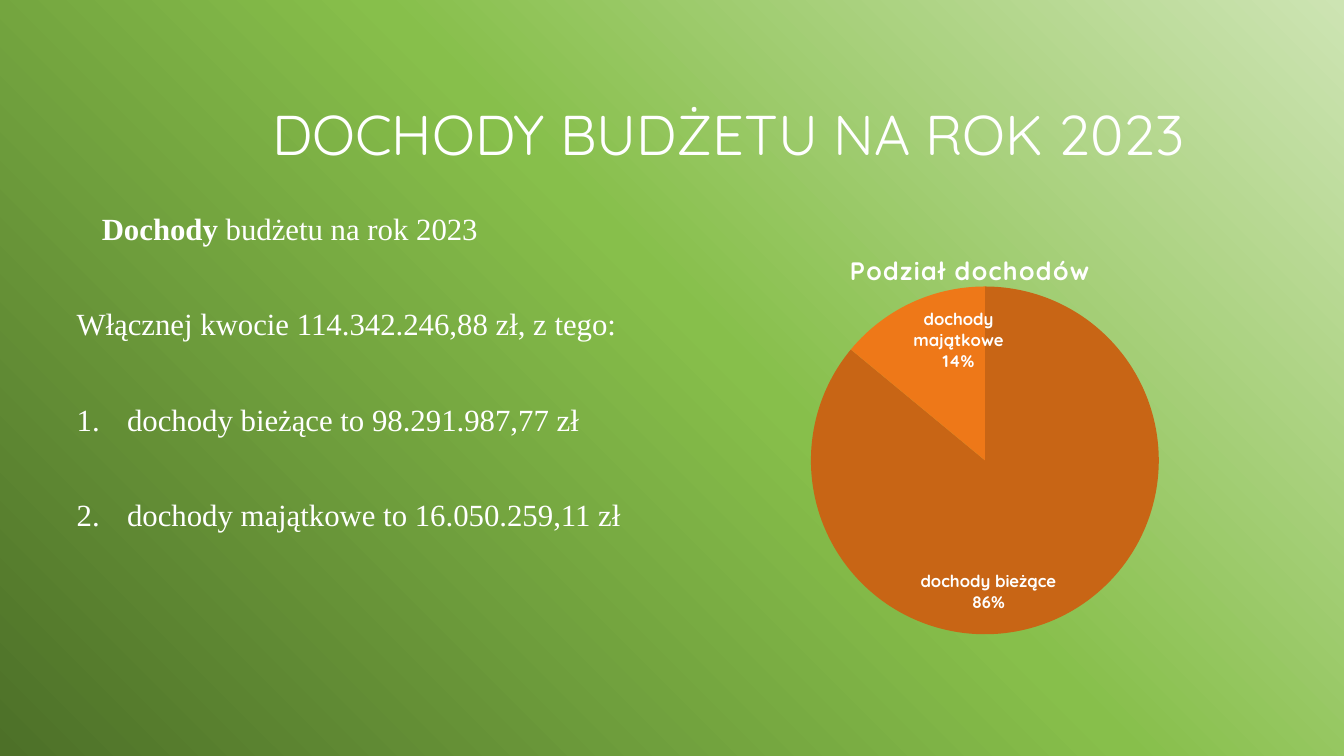
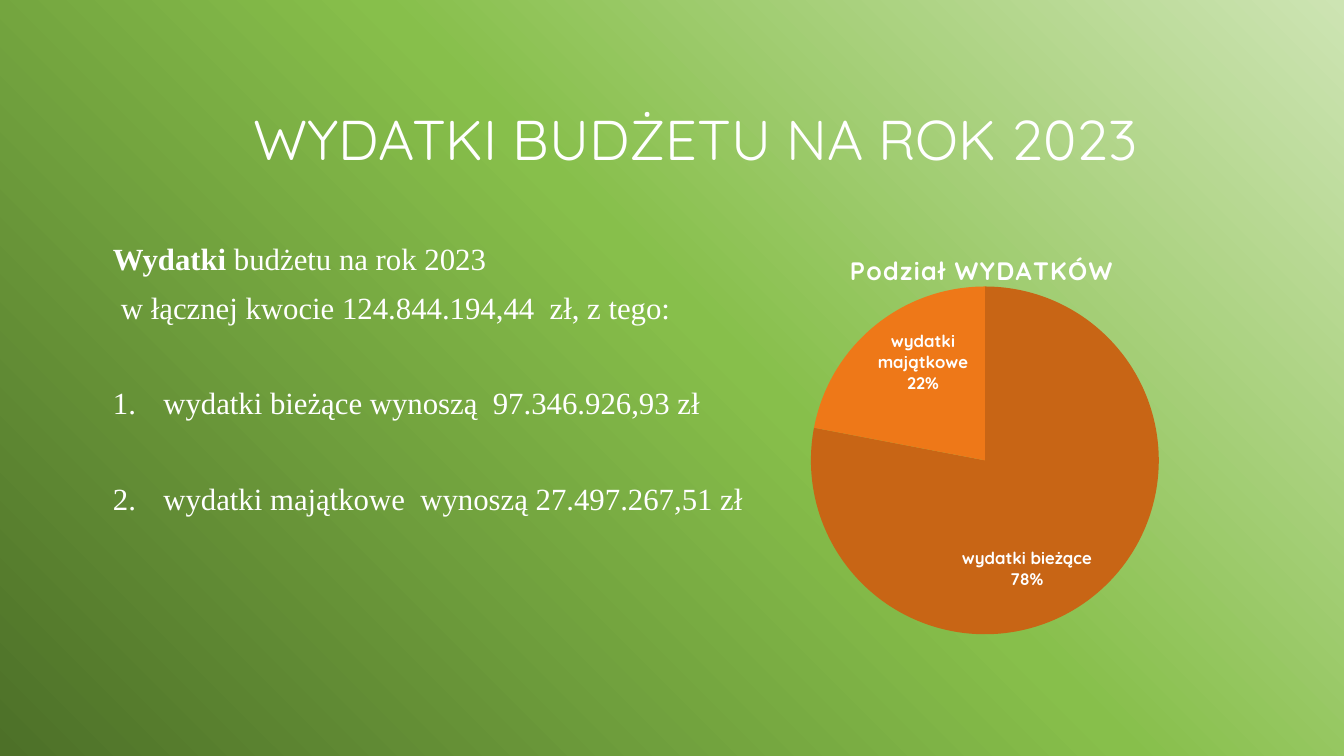
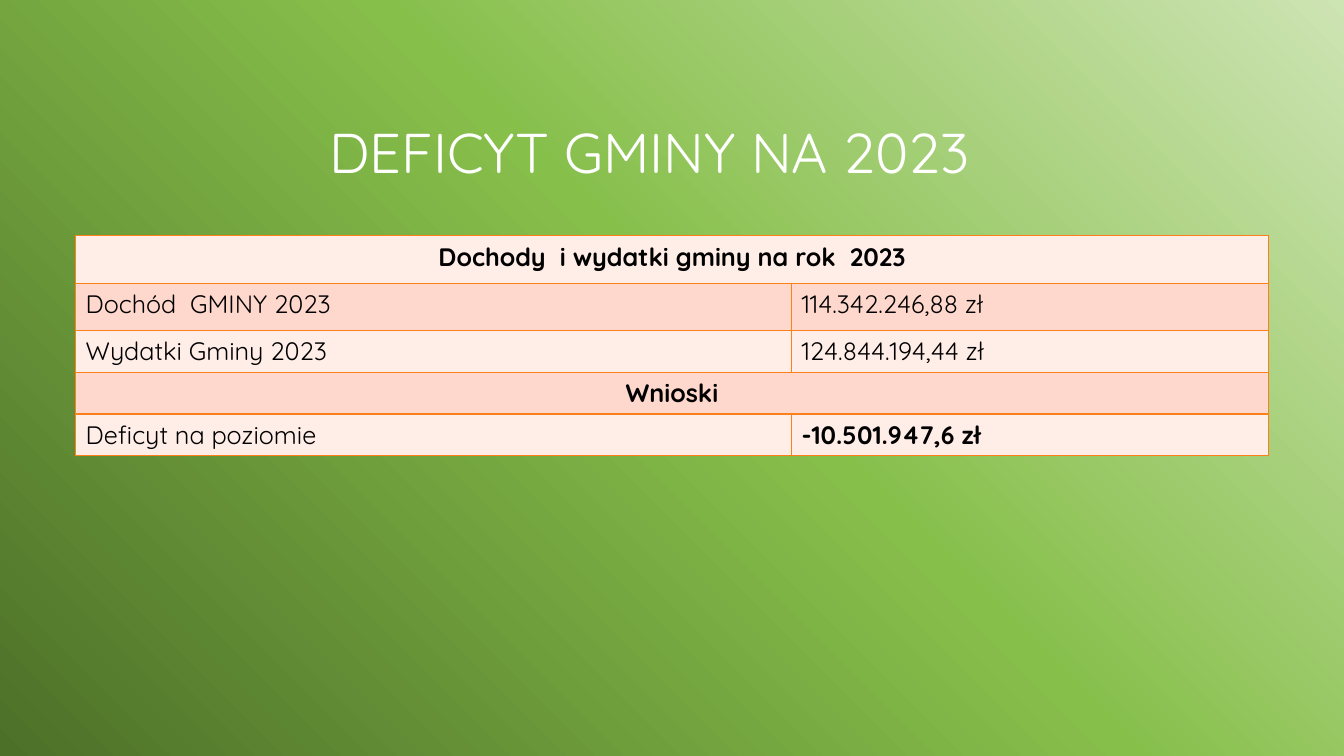
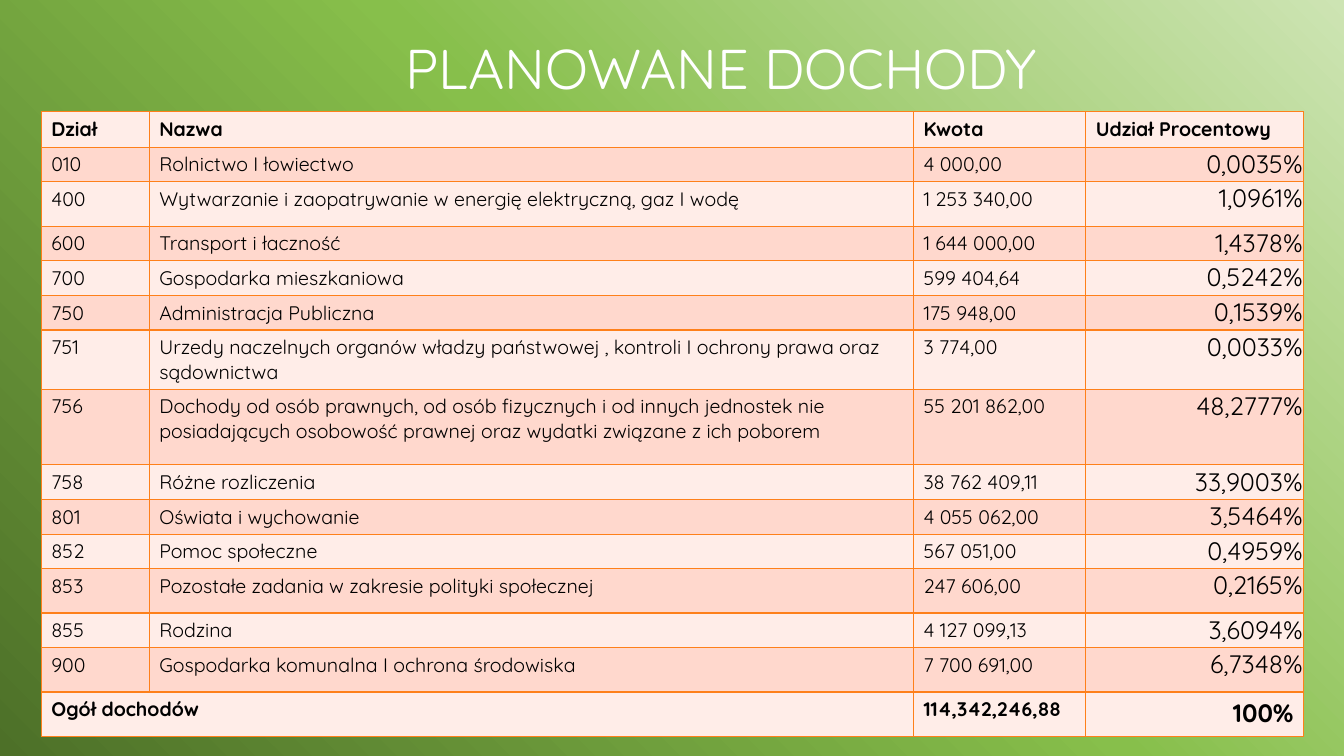
from dataclasses import dataclass

from lxml import etree
from pptx import Presentation
from pptx.chart.data import CategoryChartData
from pptx.dml.color import RGBColor
from pptx.enum.chart import XL_CHART_TYPE, XL_LABEL_POSITION
from pptx.enum.text import MSO_ANCHOR, MSO_AUTO_SIZE, PP_ALIGN
from pptx.oxml import parse_xml
from pptx.oxml.ns import nsdecls, qn
from pptx.util import Inches, Pt

LEFT, CENTER, RIGHT = PP_ALIGN.LEFT, PP_ALIGN.CENTER, PP_ALIGN.RIGHT
PIE = XL_CHART_TYPE.PIE
INSIDE_END = XL_LABEL_POSITION.INSIDE_END
TOP, MIDDLE = MSO_ANCHOR.TOP, MSO_ANCHOR.MIDDLE
NO_AUTO_SIZE = MSO_AUTO_SIZE.NONE

TITLE_AND_BODY, TITLE_ONLY = 1, 5
SANS, SERIF = "Quicksand", "Times New Roman"
WHITE, BLACK, BORDER = "FFFFFF", "000000", "FE801A"
ROW_FILLS = ("FFEDE8", "FFD8CD")
PIE_FILLS = ("C86515", "EE7818")
BACKGROUND_STOPS = ((0, "CDE4B3"), (46, "87BF4B"), (100, "4D7028"))
LINE_SPACING, NEXT_LINE, NEXT_BLOCK = 0.9, 11, 44.5

Box = tuple[float, float, float, float]
CHART_BOX: Box = (7.46, 2.37, 4.86, 4.31)


@dataclass
class Line:
    text: str
    lead: str = ""
    numbered: bool = False
    space_before: float = NEXT_BLOCK
    indent: float = 0


@dataclass
class PieSlide:
    title: str
    title_box: Box
    body_box: Box
    lines: list[Line]
    chart_title: str
    categories: tuple[str, str]
    shares: tuple[int, int]


@dataclass
class Cell:
    text: str
    bold: bool = False
    alignment: PP_ALIGN = LEFT
    size: int = 18
    tight: bool = False
    span: int = 1


@dataclass
class TableSlide:
    title: str
    title_box: Box
    title_alignment: PP_ALIGN
    table_box: Box
    columns: list[float]
    row_heights: list[float]
    rows: list[list[Cell]]


def rgb(color: str) -> RGBColor:
    return RGBColor.from_string(color)


def style_font(font, name: str, size: float, color: str, bold: bool = False) -> None:
    font.name, font.size, font.bold = name, Pt(size), bold
    font.color.rgb = rgb(color)


def add_run(paragraph, text: str, name: str, size: float, color: str, bold: bool = False):
    run = paragraph.add_run()
    run.text = text
    style_font(run.font, name, size, color, bold)
    return run


def place(shape, box: Box) -> None:
    shape.left, shape.top, shape.width, shape.height = map(Inches, box)


def paint_background(master) -> None:
    master.background.fill.gradient()
    gradient = master.element.find(".//" + qn("a:gradFill"))
    stops = "".join(
        f'<a:gs pos="{position * 1000}"><a:srgbClr val="{color}"/></a:gs>'
        for position, color in BACKGROUND_STOPS
    )
    gradient.getparent().replace(gradient, parse_xml(
        f'<a:gradFill {nsdecls("a")} rotWithShape="1"><a:gsLst>{stops}</a:gsLst>'
        '<a:path path="circle"><a:fillToRect l="100000" b="100000"/></a:path></a:gradFill>'
    ))


def set_title(slide, text: str, box: Box, alignment: PP_ALIGN) -> None:
    title = slide.shapes.title
    place(title, box)
    frame = title.text_frame
    frame.auto_size, frame.word_wrap, frame.vertical_anchor = NO_AUTO_SIZE, True, MIDDLE
    paragraph = frame.paragraphs[0]
    paragraph.alignment, paragraph.line_spacing = alignment, LINE_SPACING
    add_run(paragraph, text, SANS, 40, WHITE)


def set_bullet(paragraph, line: Line) -> None:
    properties = paragraph._p.get_or_add_pPr()
    margin, hanging = (0.5, -0.5) if line.numbered else (line.indent, 0)
    properties.set("marL", str(Inches(margin)))
    properties.set("indent", str(Inches(hanging)))
    if line.numbered:
        etree.SubElement(properties, qn("a:buFont"), typeface=SERIF)
        etree.SubElement(properties, qn("a:buAutoNum"), type="arabicPeriod")
    else:
        etree.SubElement(properties, qn("a:buNone"))


def set_body(slide, lines: list[Line], box: Box) -> None:
    body = slide.placeholders[1]
    place(body, box)
    frame = body.text_frame
    frame.auto_size, frame.word_wrap, frame.vertical_anchor = NO_AUTO_SIZE, True, TOP
    for index, line in enumerate(lines):
        paragraph = frame.add_paragraph() if index else frame.paragraphs[0]
        set_bullet(paragraph, line)
        paragraph.alignment, paragraph.line_spacing = LEFT, LINE_SPACING
        paragraph.space_before = Pt(line.space_before if index else 0)
        if line.lead:
            add_run(paragraph, line.lead, SERIF, 22, WHITE, True)
        add_run(paragraph, line.text, SERIF, 22, WHITE)


def chart_layout(target: str, **fractions: float):
    """Build a manual chart layout from x, y, w and h fractions."""
    modes = "".join(f'<c:{axis}Mode val="edge"/>' for axis in "xy")
    values = "".join(f'<c:{key} val="{value}"/>' for key, value in fractions.items())
    return parse_xml(
        f'<c:layout {nsdecls("c")}><c:manualLayout>{target}{modes}{values}'
        '</c:manualLayout></c:layout>'
    )


def remove_layout(element) -> None:
    for layout in element.findall(qn("c:layout")):
        element.remove(layout)


def no_fill():
    return parse_xml(
        f'<c:spPr {nsdecls("c", "a")}><a:noFill/><a:ln><a:noFill/></a:ln></c:spPr>'
    )


def add_pie(slide, content: PieSlide) -> None:
    data = CategoryChartData()
    data.categories = content.categories
    data.add_series("Series 1", content.shares)
    chart = slide.shapes.add_chart(PIE, *map(Inches, CHART_BOX), data).chart
    style_font(chart.font, SANS, 10, WHITE)
    chart.has_legend = False
    chart.has_title = True
    paragraph = chart.chart_title.text_frame.paragraphs[0]
    run = add_run(paragraph, content.chart_title, SANS, 18, WHITE, True)
    run._r.get_or_add_rPr().set("spc", "100")
    title = chart.chart_title._element
    remove_layout(title)
    title.find(qn("c:tx")).addnext(chart_layout("", x=0.19, y=0.02))

    chart_element = chart._chartSpace.find(qn("c:chart"))
    plot_area = chart_element.find(qn("c:plotArea"))
    remove_layout(plot_area)
    inner = '<c:layoutTarget val="inner"/>'
    plot_area.insert(0, chart_layout(inner, x=0.12, y=0.09, w=0.71, h=0.84))
    plot_area.append(no_fill())
    chart_element.addnext(no_fill())

    plot = chart.plots[0]
    plot.vary_by_categories = True
    series = plot.series[0]
    for index, color in enumerate(PIE_FILLS):
        point_format = series.points[index].format
        point_format.fill.solid()
        point_format.fill.fore_color.rgb = rgb(color)
        point_format.line.fill.background()
    labels = series.data_labels
    labels.show_value, labels.show_category_name, labels.show_percentage = False, True, True
    labels.position = INSIDE_END
    style_font(labels.font, SANS, 12, WHITE, True)
    separator = parse_xml(f'<c:separator {nsdecls("c")}>\n</c:separator>')
    labels._element.find(qn("c:showBubbleSize")).addnext(separator)


def set_borders(cell) -> None:
    properties = cell._tc.get_or_add_tcPr()
    for index, side in enumerate("LRTB"):
        properties.insert(index, parse_xml(
            f'<a:ln{side} {nsdecls("a")} w="{Pt(1)}"><a:solidFill>'
            f'<a:srgbClr val="{BORDER}"/></a:solidFill></a:ln{side}>'
        ))


def fill_cell(cell, content: Cell) -> None:
    if content.tight:
        cell.margin_left = cell.margin_top = cell.margin_right = Inches(0.01)
        cell.margin_bottom = 0
    paragraph = cell.text_frame.paragraphs[0]
    paragraph.alignment = content.alignment
    add_run(paragraph, content.text, SANS, content.size, BLACK, content.bold)


def add_table(slide, content: TableSlide) -> None:
    shape = slide.shapes.add_table(
        len(content.rows), len(content.columns), *map(Inches, content.table_box)
    )
    table = shape.table
    table.first_row = table.horz_banding = False
    for column, width in zip(table.columns, content.columns):
        column.width = Inches(width)
    for row_index, cells in enumerate(content.rows):
        row = table.rows[row_index]
        row.height = Inches(content.row_heights[row_index])
        for cell in row.cells:
            cell.fill.solid()
            cell.fill.fore_color.rgb = rgb(ROW_FILLS[row_index % 2])
            set_borders(cell)
        column_index = 0
        for cell_content in cells:
            cell = table.cell(row_index, column_index)
            column_index += cell_content.span
            if cell_content.span > 1:
                cell.merge(table.cell(row_index, column_index - 1))
            fill_cell(cell, cell_content)


def add_pie_slide(presentation, content: PieSlide) -> None:
    slide = presentation.slides.add_slide(presentation.slide_layouts[TITLE_AND_BODY])
    set_title(slide, content.title, content.title_box, RIGHT)
    set_body(slide, content.lines, content.body_box)
    add_pie(slide, content)


def add_table_slide(presentation, content: TableSlide) -> None:
    slide = presentation.slides.add_slide(presentation.slide_layouts[TITLE_ONLY])
    set_title(slide, content.title, content.title_box, content.title_alignment)
    add_table(slide, content)


def income_row(section: str, name: str, amount: str, share: str) -> list[Cell]:
    plain = [Cell(text, size=14) for text in (section, name, amount)]
    return [*plain, Cell(share, alignment=RIGHT, tight=True)]


PIE_SLIDES = [
    PieSlide(
        "DOCHODY BUDŻETU NA ROK 2023", (1.49, 0.66, 10.36, 1.41), (0.66, 2.07, 11.83, 4.4),
        [
            Line(" budżetu na rok 2023", lead="Dochody", indent=0.25),
            Line("Włącznej kwocie 114.342.246,88 zł, z tego:"),
            Line("dochody bieżące to 98.291.987,77 zł", numbered=True),
            Line("dochody majątkowe to 16.050.259,11 zł", numbered=True),
        ],
        "Podział dochodów", ("dochody bieżące", "dochody majątkowe"), (86, 14),
    ),
    PieSlide(
        "WYDATKI BUDŻETU NA ROK 2023", (1.96, 0.71, 9.42, 1.41), (1.02, 2.37, 6.71, 3.46),
        [
            Line(" budżetu na rok 2023", lead="Wydatki"),
            Line("w łącznej kwocie 124.844.194,44  zł, z tego:",
                 space_before=NEXT_LINE, indent=0.08),
            Line("wydatki bieżące wynoszą  97.346.926,93 zł", numbered=True),
            Line("wydatki majątkowe  wynoszą 27.497.267,51 zł", numbered=True),
        ],
        "Podział WYDATKÓW", ("wydatki bieżące", "wydatki majątkowe"), (78, 22),
    ),
]

DEFICIT = TableSlide(
    "DEFICYT GMINY NA 2023", (3.17, 0.84, 9.42, 1.41), LEFT,
    (0.75, 2.34, 11.83, 2.17), [7.1, 4.73], [0.47, 0.47, 0.41, 0.41, 0.41],
    [
        [Cell("Dochody  i wydatki gminy na rok  2023", True, CENTER, span=2)],
        [Cell("Dochód  GMINY 2023"), Cell("114.342.246,88 zł")],
        [Cell("Wydatki Gminy 2023"), Cell("124.844.194,44 zł")],
        [Cell("Wnioski", True, CENTER, span=2)],
        [Cell("Deficyt na poziomie"), Cell("-10.501.947,6 zł", True)],
    ],
)

INCOME_ROWS = [
    ("010", "Rolnictwo I łowiectwo", "4 000,00", "0,0035%"),
    ("400", "Wytwarzanie i zaopatrywanie w energię elektryczną, gaz I wodę",
     "1 253 340,00", "1,0961%"),
    ("600", "Transport i łaczność", "1 644 000,00", "1,4378%"),
    ("700", "Gospodarka mieszkaniowa", "599 404,64", "0,5242%"),
    ("750", "Administracja Publiczna", "175 948,00", "0,1539%"),
    ("751", "Urzedy naczelnych organów władzy państwowej , kontroli I ochrony prawa "
     "oraz sądownictwa", "3 774,00", "0,0033%"),
    ("756", "Dochody od osób prawnych, od osób fizycznych i od innych jednostek nie "
     "posiadających osobowość prawnej oraz wydatki związane z ich poborem",
     "55 201 862,00", "48,2777%"),
    ("758", "Różne rozliczenia", "38 762 409,11", "33,9003%"),
    ("801", "Oświata i wychowanie", "4 055 062,00", "3,5464%"),
    ("852", "Pomoc społeczne", "567 051,00", "0,4959%"),
    ("853", "Pozostałe zadania w zakresie polityki społecznej", "247 606,00", "0,2165%"),
    ("855", "Rodzina", "4 127 099,13", "3,6094%"),
    ("900", "Gospodarka komunalna I ochrona środowiska", "7 700 691,00", "6,7348%"),
]

INCOME = TableSlide(
    "PLANOWANE DOCHODY", (0.97, 0, 9.42, 1.41), RIGHT,
    (0.41, 1.11, 12.52, 6.1), [1.07, 7.58, 1.71, 2.16],
    [0.35, 0.31, 0.44, 0.31, 0.31, 0.31, 0.53, 0.75,
     0.31, 0.31, 0.31, 0.44, 0.31, 0.44, 0.44],
    [
        [Cell(text, True, size=14) for text in ("Dział", "Nazwa", "Kwota", "Udział Procentowy")],
        *(income_row(*row) for row in INCOME_ROWS),
        [Cell("Ogół dochodów", True, size=14, span=2),
         Cell("114,342,246,88", True, size=14), Cell("100%", True, RIGHT)],
    ],
)


def main() -> None:
    presentation = Presentation()
    presentation.slide_width, presentation.slide_height = Inches(13.33), Inches(7.5)
    paint_background(presentation.slide_master)
    for content in PIE_SLIDES:
        add_pie_slide(presentation, content)
    for content in (DEFICIT, INCOME):
        add_table_slide(presentation, content)
    presentation.save("out.pptx")


if __name__ == "__main__":
    main()
